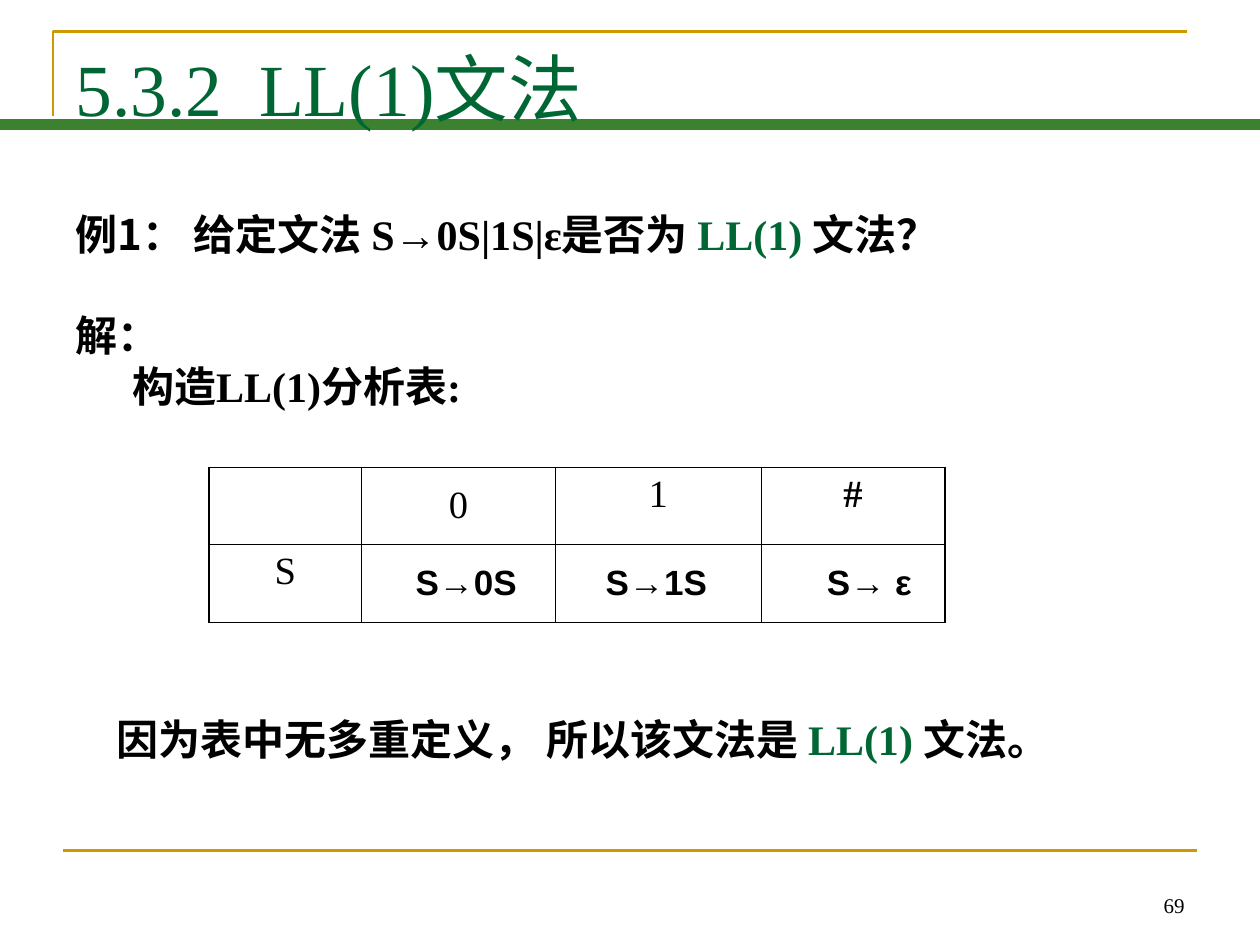
from dataclasses import dataclass

from lxml import etree
from pptx import Presentation
from pptx.dml.color import RGBColor
from pptx.enum.shapes import MSO_CONNECTOR
from pptx.enum.text import MSO_ANCHOR, PP_ALIGN
from pptx.oxml.ns import qn
from pptx.util import Inches, Pt

TOP, MIDDLE, BOTTOM = MSO_ANCHOR.TOP, MSO_ANCHOR.MIDDLE, MSO_ANCHOR.BOTTOM
LEFT, CENTER, RIGHT = PP_ALIGN.LEFT, PP_ALIGN.CENTER, PP_ALIGN.RIGHT
STRAIGHT = MSO_CONNECTOR.STRAIGHT


@dataclass(frozen=True)
class Theme:
    ink: str = "000000"
    green: str = "006633"
    band: str = "3B812F"
    gold: str = "CC9900"
    serif: str = "Times New Roman"
    sans: str = "Arial"
    cjk: str = "Noto Sans CJK SC"
    title: int = 42
    body: int = 24
    cell: int = 22
    production: int = 20
    number: int = 12
    line_pitch: int = 29
    thin: float = 0.45
    thick: float = 1.08


THEME = Theme()

TITLE = "5.3.2  LL(1)文法"
EXAMPLE = [
    ("例1", THEME.cjk, THEME.ink),
    ("： 给定文法 S→0S|1S|ε是否为 ", THEME.serif, THEME.ink),
    ("LL(1) ", THEME.serif, THEME.green),
    ("文法？", THEME.serif, THEME.ink),
]
SOLUTION = [("解：", THEME.cjk, THEME.ink)]
STEP = [("构造LL(1)分析表:", THEME.serif, THEME.ink)]
CONCLUSION = [
    ("因为表中无多重定义， 所以该文法是 ", THEME.serif, THEME.ink),
    ("LL(1) ", THEME.serif, THEME.green),
    ("文法", THEME.serif, THEME.ink),
    ("。", THEME.cjk, THEME.ink),
]
PARSE_TABLE = [["", "0", "1", "#"], ["S", "", "", ""]]
COLUMN_WIDTHS = [1.21, 1.54, 1.63, 1.46]
ROW_HEIGHTS = [0.61, 0.62]
PRODUCTIONS = [("S→0S", 3.7), ("S→1S", 5.21), ("S→ ε", 6.9)]
PRODUCTION_WIDTH = 1.23
RULES = [
    ((0.5, 6.75), (9.5, 6.75), THEME.gold, 1.5),
    ((0, 0.99), (10, 0.99), THEME.band, 6),
]
SLIDE_NUMBER = "69"


def style_run(run, size, font, color, bold=False):
    run.font.size = Pt(size)
    run.font.name = font
    run.font.bold = bold
    run.font.color.rgb = RGBColor.from_string(color)
    if font != THEME.sans:
        east_asian = etree.SubElement(run.font._element, qn("a:ea"))
        east_asian.set("typeface", THEME.cjk)


def add_runs(paragraph, pieces, size, bold=False):
    for words, font, color in pieces:
        run = paragraph.add_run()
        run.text = words
        style_run(run, size, font, color, bold)


def add_text(slide, box, paragraphs, size, bold=False, align=LEFT, anchor=TOP, pitch=None):
    frame = slide.shapes.add_textbox(*map(Inches, box)).text_frame
    frame.word_wrap = True
    frame.vertical_anchor = anchor
    for index, (pieces, gap, indent) in enumerate(paragraphs):
        paragraph = frame.add_paragraph() if index else frame.paragraphs[0]
        paragraph.alignment = align
        if pitch:
            paragraph.line_spacing = Pt(pitch)
        if gap:
            paragraph.space_before = Pt(gap)
        if indent:
            paragraph._p.get_or_add_pPr().set("indent", str(Inches(indent)))
        add_runs(paragraph, pieces, size, bold)


def add_rule(slide, start, end, color, width):
    rule = slide.shapes.add_connector(STRAIGHT, *map(Inches, (*start, *end)))
    rule.line.color.rgb = RGBColor.from_string(color)
    rule.line.width = Pt(width)
    etree.SubElement(rule._element.spPr, qn("a:effectLst"))


def add_corner(slide):
    builder = slide.shapes.build_freeform(Inches(0.42), Inches(0.92))
    builder.add_line_segments(
        [(Inches(0.42), Inches(0.25)), (Inches(9.42), Inches(0.25))], close=False
    )
    corner = builder.convert_to_shape()
    corner.shadow.inherit = False
    corner.fill.background()
    corner.line.color.rgb = RGBColor.from_string(THEME.gold)
    corner.line.width = Pt(1.5)


def set_borders(cell, outer_sides):
    properties = cell._tc.get_or_add_tcPr()
    for side, is_outer in outer_sides.items():
        width = THEME.thick if is_outer else THEME.thin
        border = etree.SubElement(properties, qn(f"a:ln{side}"), w=str(Pt(width)))
        fill = etree.SubElement(border, qn("a:solidFill"))
        etree.SubElement(fill, qn("a:srgbClr"), val=THEME.ink)


def add_parse_table(slide):
    rows, columns = len(ROW_HEIGHTS), len(COLUMN_WIDTHS)
    table = slide.shapes.add_table(
        rows, columns, Inches(1.66), Inches(3.71),
        Inches(sum(COLUMN_WIDTHS)), Inches(sum(ROW_HEIGHTS)),
    ).table
    table.first_row = table.horz_banding = False
    for column, width in zip(table.columns, COLUMN_WIDTHS):
        column.width = Inches(width)
    for r, (height, symbols) in enumerate(zip(ROW_HEIGHTS, PARSE_TABLE)):
        table.rows[r].height = Inches(height)
        for c, symbol in enumerate(symbols):
            cell = table.cell(r, c)
            set_borders(cell, {
                "L": c == 0, "R": c == columns - 1, "T": r == 0, "B": r == rows - 1,
            })
            cell.fill.background()
            cell.vertical_anchor = MIDDLE if symbol == "0" else TOP
            if symbol:
                paragraph = cell.text_frame.paragraphs[0]
                paragraph.alignment = CENTER
                add_runs(paragraph, [(symbol, THEME.serif, THEME.ink)], THEME.cell, symbol == "#")


def main():
    deck = Presentation()
    deck.slide_width, deck.slide_height = Inches(10), Inches(7.5)
    slide = deck.slides.add_slide(deck.slide_layouts[6])
    add_corner(slide)
    for rule in RULES:
        add_rule(slide, *rule)
    add_text(slide, (7.17, 6.83, 2.33, 0.5),
             [([(SLIDE_NUMBER, THEME.serif, THEME.ink)], 0, 0)],
             THEME.number, align=RIGHT, anchor=BOTTOM)
    add_text(slide, (0.5, 1.6, 9.88, 1.7),
             [(EXAMPLE, 0, 0), (SOLUTION, THEME.line_pitch, 0), (STEP, 0, 0.45)],
             THEME.body, bold=True, pitch=THEME.line_pitch)
    add_parse_table(slide)
    add_text(slide, (0.75, 5.61, 8.19, 0.5), [(CONCLUSION, 0, 0.08)],
             THEME.body, bold=True, pitch=THEME.line_pitch)
    add_text(slide, (0.5, 0.3, 8.99, 0.85),
             [([(TITLE, THEME.serif, THEME.green)], 0, 0)],
             THEME.title, pitch=50)
    for production, center in PRODUCTIONS:
        add_text(slide, (center - PRODUCTION_WIDTH / 2, 4.4, PRODUCTION_WIDTH, 0.77),
                 [([(production, THEME.sans, THEME.ink)], 0, 0)],
                 THEME.production, bold=True, align=CENTER)
    deck.save("out.pptx")


if __name__ == "__main__":
    main()
